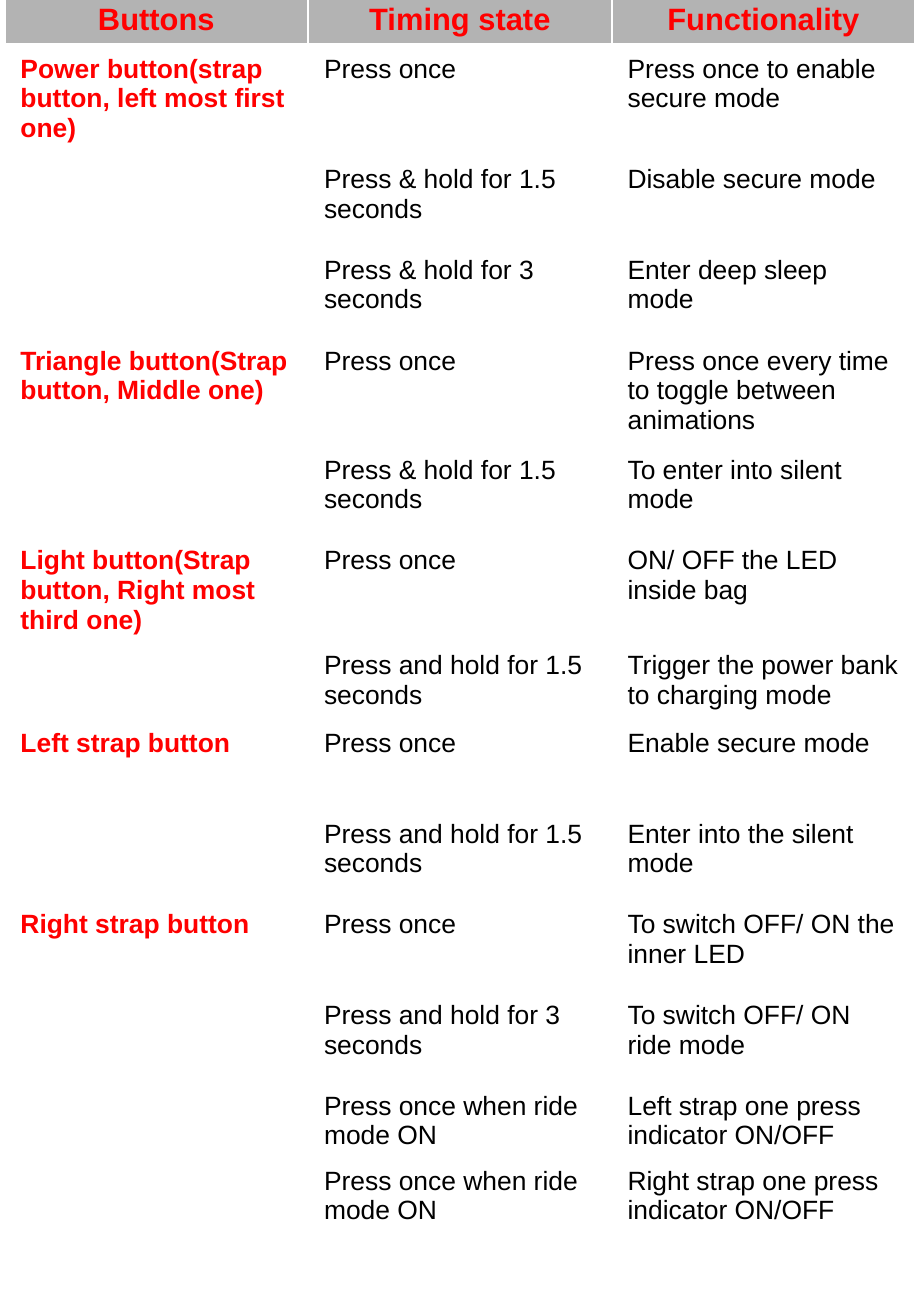
from dataclasses import dataclass

from lxml.etree import SubElement as Sub
from pptx import Presentation as Deck
from pptx.dml.color import RGBColor as Rgb
from pptx.enum.text import MSO_ANCHOR as Anchor, PP_ALIGN as Align
from pptx.oxml.ns import qn
from pptx.util import Inches, Pt


@dataclass(frozen=True)
class Theme:
    font: str = "Arial"
    accent: str = "FF0000"
    ink: str = "000000"
    paper: str = "FFFFFF"
    band: str = "B3B3B3"
    head: int = 14
    body: int = 12
    thin: int = 1
    thick: int = 3


HEADS = ("Buttons", "Timing state", "Functionality")
GROUPS = (
    ("Power button(strap button, left most first one)", (
        (8.4, "Press once", "Press once to enable secure mode"),
        (6.9, "Press & hold for 1.5 seconds", "Disable secure mode"),
        (6.9, "Press & hold for 3 seconds", "Enter deep sleep mode"),
    )),
    ("Triangle button(Strap button, Middle one)", (
        (8.3, "Press once", "Press once every time to toggle between animations"),
        (6.9, "Press & hold for 1.5 seconds", "To enter into silent mode"),
    )),
    ("Light button(Strap button, Right most third one)", (
        (7.8, "Press once", "ON/ OFF the LED inside bag"),
        (5.9, "Press and hold for 1.5 seconds", "Trigger the power bank to charging mode"),
    )),
    ("Left strap button", (
        (6.9, "Press once", "Enable secure mode"),
        (6.9, "Press and hold for 1.5 seconds", "Enter into the silent mode"),
    )),
    ("Right strap button", (
        (6.9, "Press once", "To switch OFF/ ON the inner LED"),
        (6.9, "Press and hold for 3 seconds", "To switch OFF/ ON ride mode"),
        (5.4, "Press once when ride mode ON", "Left strap one press indicator ON/OFF"),
        (10.5, "Press once when ride mode ON", "Right strap one press indicator ON/OFF"),
    )),
)


def write(frame, text, font, size, color, bold=False, align=Align.LEFT):
    para = frame.paragraphs[0]
    para.alignment = align
    run = para.add_run()
    run.text = text
    run.font.name = font
    run.font.size = Pt(size)
    run.font.bold = bold
    run.font.color.rgb = Rgb.from_string(color)


class Page:
    def __init__(self, deck, theme):
        self.deck = deck
        self.theme = theme
        self.slide = deck.slides.add_slide(deck.slide_layouts[6])

    def wide(self, share):
        return round(self.deck.slide_width * share / 100)

    def high(self, share):
        return round(self.deck.slide_height * share / 100)

    def edge(self, cell, base):
        props = cell._tc.get_or_add_tcPr()
        for side in "LRTB":
            width = base if side == "B" else self.theme.thin
            line = Sub(props, qn(f"a:ln{side}"), w=str(Pt(width)))
            fill = Sub(line, qn("a:solidFill"))
            Sub(fill, qn("a:srgbClr"), val=self.theme.paper)

    def cell(self, cell, text, head, lead):
        theme = self.theme
        self.edge(cell, theme.thick if head else theme.thin)
        cell.fill.solid()
        cell.fill.fore_color.rgb = Rgb.from_string(theme.band if head else theme.paper)
        cell.vertical_anchor = Anchor.MIDDLE if head else Anchor.TOP
        if text:
            strong = head or lead
            write(cell.text_frame, text, theme.font,
                  size=theme.head if head else theme.body,
                  color=theme.accent if strong else theme.ink,
                  bold=strong,
                  align=Align.CENTER if head else Align.LEFT)

    def table(self, left, top, width, rows):
        count = len(rows[0][1])
        total = sum(size for size, _ in rows)
        grid = self.slide.shapes.add_table(
            len(rows), count, self.wide(left), self.high(top),
            self.wide(width * count), self.high(total)).table
        grid.horz_banding = False
        grid.first_row = False
        for col in grid.columns:
            col.width = self.wide(width)
        for r, (size, texts) in enumerate(rows):
            grid.rows[r].height = self.high(size)
            for c, text in enumerate(texts):
                self.cell(grid.cell(r, c), text, head=r == 0, lead=c == 0)


def main():
    deck = Deck()
    deck.slide_width = Inches(5.8)
    deck.slide_height = Inches(8.3)
    rows = [(4, HEADS)]
    for name, steps in GROUPS:
        for i, (size, press, result) in enumerate(steps):
            rows.append((size, ("" if i else name, press, result)))
    Page(deck, Theme()).table(left=0.5, top=-0.5, width=33, rows=rows)
    deck.save("out.pptx")


if __name__ == "__main__":
    main()
